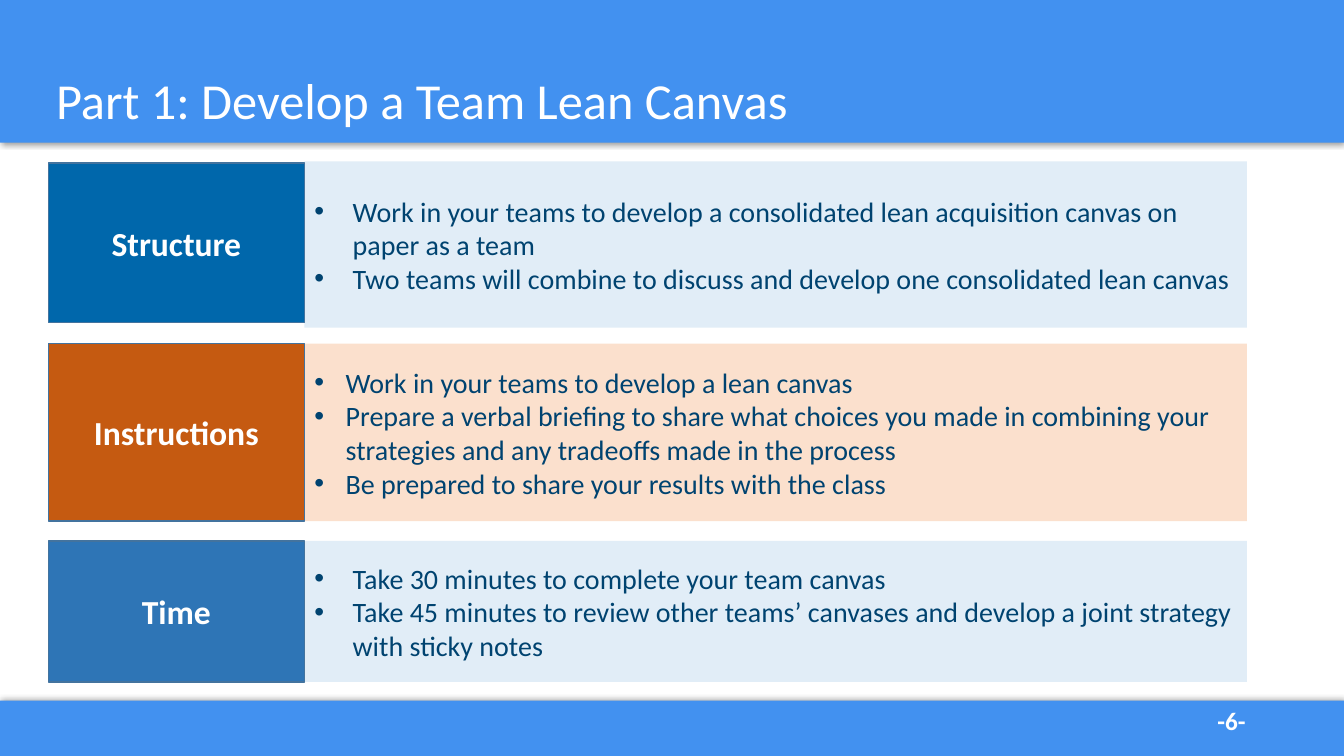
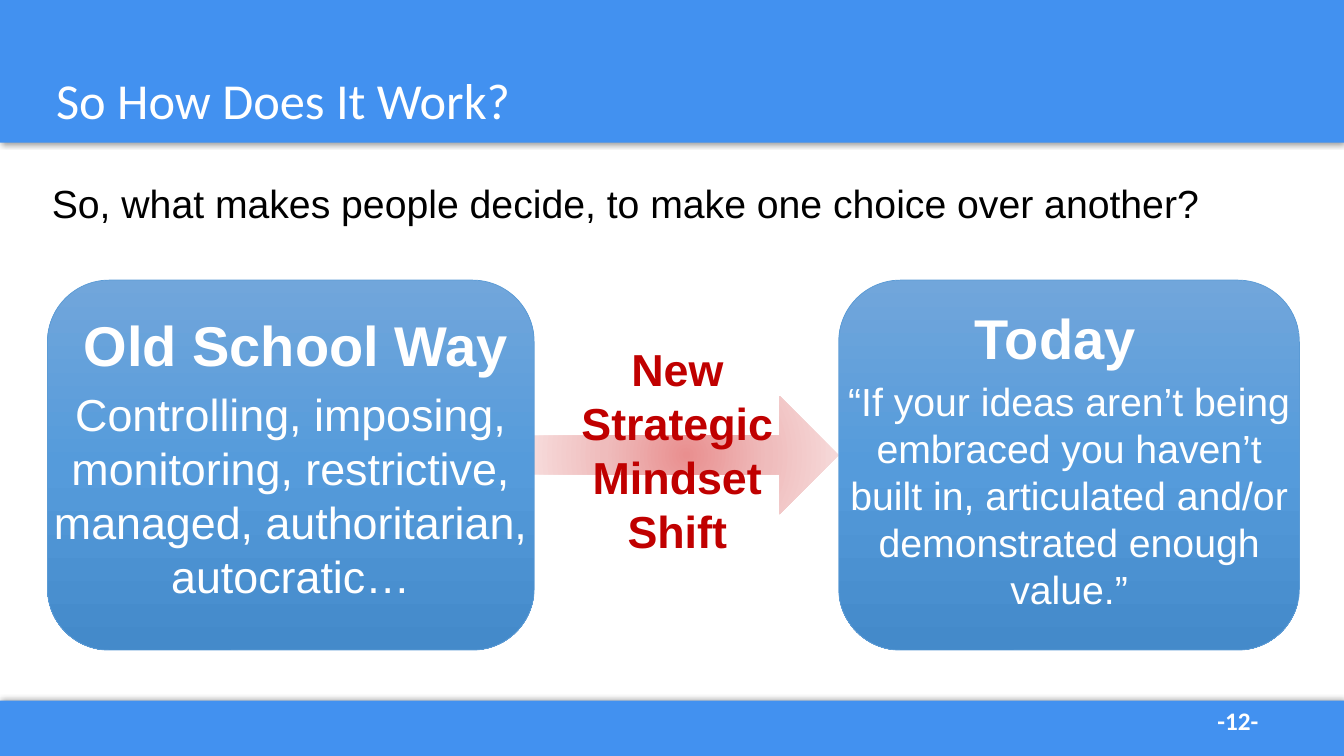
from dataclasses import dataclass

from lxml.etree import SubElement
from pptx import Presentation
from pptx.dml.color import RGBColor
from pptx.enum.shapes import MSO_SHAPE
from pptx.enum.text import MSO_ANCHOR, PP_ALIGN
from pptx.oxml import parse_xml
from pptx.oxml.ns import nsdecls, qn
from pptx.util import Emu, Inches, Pt

COLUMNS, ROWS = 160, 90
UNIT = Inches(1) / 12


@dataclass(frozen=True)
class Theme:
    """Colours, type sizes and fonts of the deck."""
    band: str = "4291F0"
    white: str = "FFFFFF"
    black: str = "000000"
    detail_ink: str = "004370"
    shift_ink: str = "C00000"
    blue: str = "0067AB"
    orange: str = "C55A11"
    mid_blue: str = "2E75B6"
    pale_blue: str = "E1EDF7"
    pale_orange: str = "FBE0CD"
    label_edge: str = "43739E"
    card_edge: str = "5B9BD5"
    card_stops: tuple = ("71A6DB", "559BDB", "448ACA")
    arrow_stops: tuple = ("E98F8F", "EFBCBC", "F7DEDE")
    sans: str = "Calibri"
    plain: str = "Arial"
    title: int = 36
    heading: int = 40
    large: int = 32
    medium: int = 28
    label: int = 24
    detail: int = 20
    number: int = 18


THEME = Theme()


@dataclass(frozen=True)
class Box:
    """A region measured in grid columns and rows."""
    left: float
    top: float
    width: float
    height: float

    def region(self, left, top, width, height):
        """Return the region at the given shares of this one."""
        return Box(self.left + left * self.width, self.top + top * self.height,
                   width * self.width, height * self.height)

    def emu(self):
        """Return the region as slide lengths."""
        return [Emu(round(n * UNIT)) for n in (self.left, self.top, self.width, self.height)]


def add_bullet(paragraph, indent):
    """Give a paragraph a hanging round bullet."""
    properties = paragraph._p.get_or_add_pPr()
    properties.set("marL", str(Inches(indent)))
    properties.set("indent", str(-Inches(indent)))
    SubElement(properties, qn("a:buFont"), typeface=THEME.plain)
    SubElement(properties, qn("a:buChar"), char="•")


def write(shape, *paragraphs, size, color, font=THEME.sans, bold=False, align=PP_ALIGN.LEFT,
          anchor=MSO_ANCHOR.MIDDLE, spacing=None, indent=None, inset=None):
    """Fill a shape with formatted paragraphs."""
    frame = shape.text_frame
    frame.word_wrap = True
    frame.vertical_anchor = anchor
    if inset is not None:
        frame.margin_left = frame.margin_right = frame.margin_top = frame.margin_bottom = inset
    for index, text in enumerate(paragraphs):
        paragraph = frame.add_paragraph() if index else frame.paragraphs[0]
        paragraph.alignment = align
        if spacing:
            paragraph.line_spacing = spacing
        if indent:
            add_bullet(paragraph, indent)
        run = paragraph.add_run()
        run.text = text
        run.font.name, run.font.size, run.font.bold = font, Pt(size), bold
        run.font.color.rgb = RGBColor.from_string(color)


def add_text(slide, box, *paragraphs, **text_format):
    """Place a text box on a region."""
    write(slide.shapes.add_textbox(*box.emu()), *paragraphs, **text_format)


def add_figure(shapes, box, kind=MSO_SHAPE.RECTANGLE, fill=None, edge=None, edge_width=1):
    """Place a preset shape with a plain fill and an optional edge."""
    figure = shapes.add_shape(kind, *box.emu())
    figure.shadow.inherit = False
    if fill:
        figure.fill.solid()
        figure.fill.fore_color.rgb = RGBColor.from_string(fill)
    if edge:
        figure.line.color.rgb = RGBColor.from_string(edge)
        figure.line.width = Pt(edge_width)
    else:
        figure.line.fill.background()
    return figure


def add_gradient(figure, stops, course):
    """Fill a figure with evenly spaced colours along a course."""
    step = 100000 // (len(stops) - 1)
    colours = "".join(f'<a:gs pos="{index * step}"><a:srgbClr val="{stop}"/></a:gs>'
                      for index, stop in enumerate(stops))
    geometry = figure._element.spPr.find(qn("a:prstGeom"))
    geometry.addnext(parse_xml(f'<a:gradFill {nsdecls("a")} rotWithShape="1">'
                               f'<a:gsLst>{colours}</a:gsLst>{course}</a:gradFill>'))


def add_band(slide, box, shadow_angle):
    """Draw a full-width band with a soft shadow."""
    band = add_figure(slide.shapes, box, fill=THEME.band)
    band._element.spPr.find(qn("a:effectLst")).append(parse_xml(
        f'<a:outerShdw {nsdecls("a")} blurRad="{Pt(4)}" dist="{Pt(1)}" '
        f'dir="{shadow_angle * 60000}" algn="ctr" rotWithShape="0">'
        f'<a:srgbClr val="{THEME.black}"><a:alpha val="40000"/></a:srgbClr></a:outerShdw>'))


def add_frame(deck, title, number):
    """Add a slide with its bands, title and page number."""
    slide = deck.slides.add_slide(deck.slide_layouts[6])
    add_band(slide, Box(0, 83.4, COLUMNS, ROWS - 83.4), 270)
    add_band(slide, Box(0, 0, COLUMNS, 17), 90)
    add_text(slide, Box(143.75, 83.4, 11.75, 4.8), f"-{number}-", size=THEME.number,
             color=THEME.white, bold=True, anchor=MSO_ANCHOR.TOP)
    add_text(slide, Box(5.5, 3.6, 149, 17.4), title, size=THEME.title, color=THEME.white,
             spacing=0.9)
    return slide


def add_task_row(slide, box, label, details, label_fill, detail_fill, indent=0.38,
                 label_top=0, label_height=1):
    """Draw a label beside its bulleted details."""
    shapes = slide.shapes.add_group_shape().shapes
    label_share = 30.5 / 142.7
    panel = add_figure(shapes, box.region(label_share, 0, 1 - label_share, 1), fill=detail_fill)
    write(panel, *details, size=THEME.detail, color=THEME.detail_ink, indent=indent)
    tag = add_figure(shapes, box.region(0, label_top, label_share, label_height),
                     fill=label_fill, edge=THEME.label_edge)
    write(tag, label, size=THEME.label, color=THEME.white, bold=True, align=PP_ALIGN.CENTER)


def add_card(slide, box, heading, body, body_size, heading_left, heading_top):
    """Draw a rounded card with a heading over its body."""
    card = add_figure(slide.shapes, box, MSO_SHAPE.ROUNDED_RECTANGLE,
                      edge=THEME.card_edge, edge_width=0.5)
    add_gradient(card, THEME.card_stops, '<a:lin ang="5400000" scaled="0"/>')
    words = dict(color=THEME.white, font=THEME.plain, align=PP_ALIGN.CENTER)
    add_text(slide, box.region(0, 0.28, 1, 0.6), body, size=body_size, inset=0, **words)
    add_text(slide, box.region(heading_left, heading_top, 1, 0.21), heading,
             size=THEME.heading, bold=True, anchor=MSO_ANCHOR.TOP, **words)


def add_shift_arrow(slide, box):
    """Draw the glowing arrow."""
    arrow = add_figure(slide.shapes, box, MSO_SHAPE.RIGHT_ARROW)
    arrow.adjustments[0] = 0.33
    add_gradient(arrow, THEME.arrow_stops, '<a:path path="circle"><a:fillToRect '
                 'l="50000" t="50000" r="50000" b="50000"/></a:path>')


def build_task_slide(deck):
    """Build the slide of team tasks."""
    slide = add_frame(deck, "Part 1: Develop a Team Lean Canvas", 6)
    left, width = 5.75, 142.7
    add_task_row(slide, Box(left, 19.2, width, 19.8), "Structure", (
        "Work in your teams to develop a consolidated lean acquisition canvas on paper as a team",
        "Two teams will combine to discuss and develop one consolidated lean canvas",
    ), THEME.blue, THEME.pale_blue, label_top=0.01, label_height=0.96)
    add_task_row(slide, Box(left, 40.9, width, 21.15), "Instructions", (
        "Work in your teams to develop a lean canvas",
        "Prepare a verbal briefing to share what choices you made in combining your "
        "strategies and any tradeoffs made in the process",
        "Be prepared to share your results with the class",
    ), THEME.orange, THEME.pale_orange, indent=0.31)
    add_task_row(slide, Box(left, 64.4, width, 16.8), "Time", (
        "Take 30 minutes to complete your team canvas",
        "Take 45 minutes to review other teams’ canvases and develop a joint strategy "
        "with sticky notes",
    ), THEME.mid_blue, THEME.pale_blue)


def build_shift_slide(deck):
    """Build the slide that contrasts the old way with today."""
    slide = add_frame(deck, "So How Does It Work?", 12)
    add_text(slide, Box(5, 21.4, 149, 8.6),
             "So, what makes people decide, to make one choice over another?",
             size=THEME.medium, color=THEME.black, font=THEME.plain,
             anchor=MSO_ANCHOR.TOP, spacing=0.9)
    old_way = Box(5.65, 33.35, 57.95, 44.05)
    today = Box(99.85, 33.35, 54.85, 44.05)
    old_way_right = old_way.left + old_way.width
    shift = Box(old_way_right, 47.15, today.left - old_way_right, 14.05)
    add_shift_arrow(slide, shift)
    add_card(slide, old_way, "Old School Way",
             "Controlling, imposing, monitoring, restrictive, managed, authoritarian, "
             "autocratic…", THEME.large, heading_left=0.01, heading_top=0.07)
    add_card(slide, today, "Today",
             "“If your ideas aren’t being embraced you haven’t built in, articulated "
             "and/or demonstrated enough value.”", THEME.medium,
             heading_left=-0.03, heading_top=0.05)
    add_text(slide, shift.region(0.01, -0.5, 0.92, 1.93), "New Strategic Mindset Shift",
             size=THEME.large, color=THEME.shift_ink, font=THEME.plain, bold=True,
             align=PP_ALIGN.CENTER, anchor=MSO_ANCHOR.TOP)


def main():
    """Build and save the deck."""
    deck = Presentation()
    deck.slide_width = Emu(round(COLUMNS * UNIT))
    deck.slide_height = Emu(round(ROWS * UNIT))
    build_task_slide(deck)
    build_shift_slide(deck)
    deck.save("out.pptx")


if __name__ == "__main__":
    main()
